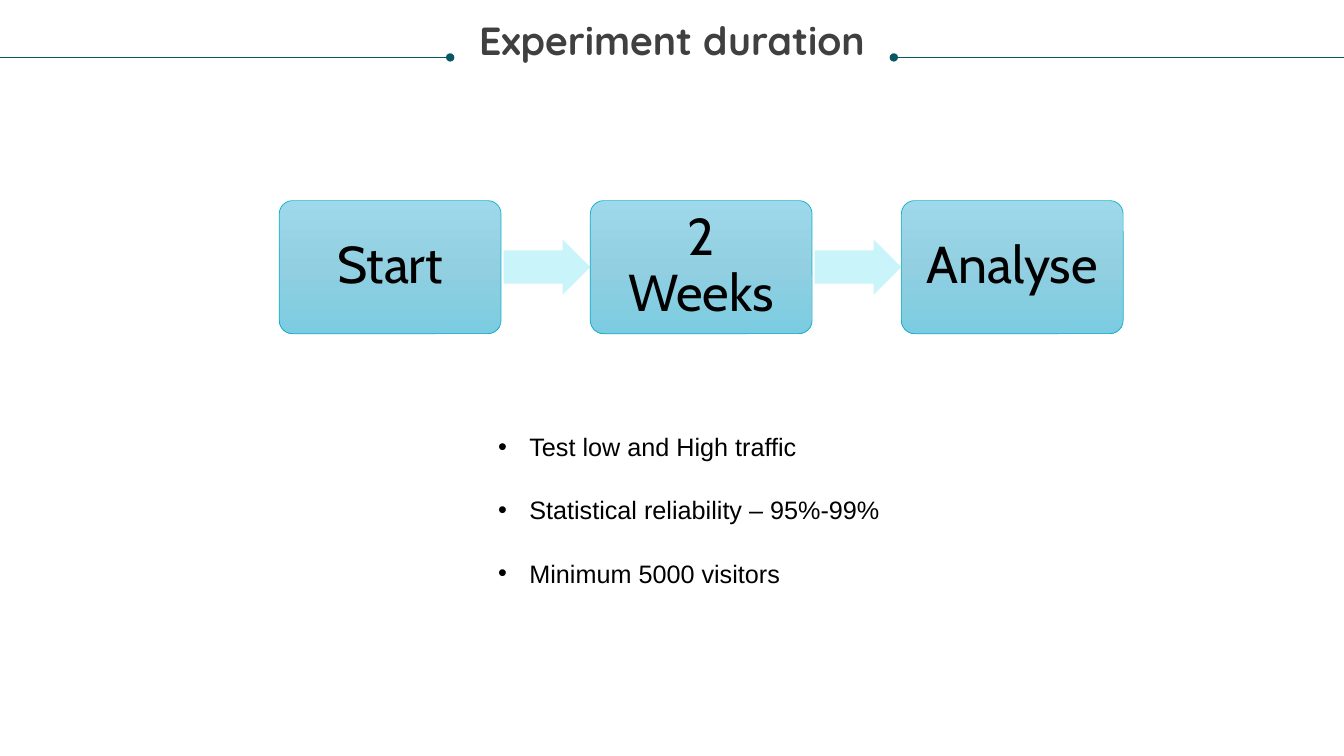
import copy

import pptx
import pptx.dml.color
import pptx.enum.shapes
import pptx.enum.text
import pptx.oxml
import pptx.oxml.ns
import pptx.util
from pptx.util import Inches

SHAPE = pptx.enum.shapes.MSO_SHAPE
ALIGN = pptx.enum.text.PP_ALIGN
ANCHOR = pptx.enum.text.MSO_ANCHOR
STEPS = ["Start", "2 Weeks", "Analyse"]
POINTS = ["Test low and High traffic", "Statistical reliability – 95%-99%", "Minimum 5000 visitors"]
GRADIENT = [(0, "9ED9EB"), (0.5, "91CFE1"), (1, "7CCCE1")]


def rgb(value):
    """Turn a hex string into a colour."""
    return pptx.dml.color.RGBColor.from_string(value)


def apply(obj, formats):
    """Set each attribute of obj from a dict of format values."""
    for name, value in formats.items():
        setattr(obj, name, value)


def place(sp, box):
    """Move a shape to a box given in inches."""
    apply(sp, dict(zip(("left", "top", "width", "height"), map(Inches, box))))


def fill_text(tf, lines, inset, anchor, para, font, color):
    """Write one formatted paragraph per line."""
    margins = dict(zip(("margin_left", "margin_top", "margin_right", "margin_bottom"), map(Inches, inset)))
    apply(tf, {"word_wrap": True, "auto_size": pptx.enum.text.MSO_AUTO_SIZE.NONE,
               "vertical_anchor": anchor, **margins})
    for i, line in enumerate(lines):
        p = tf.paragraphs[0] if i == 0 else tf.add_paragraph()
        apply(p, para)
        r = p.add_run()
        r.text = line
        apply(r.font, font)
        r.font.color.rgb = rgb(color)


def add_rule(s, start, end, y):
    """Draw a thin rule with a dot at its end point."""
    line = s.shapes.add_connector(pptx.enum.shapes.MSO_CONNECTOR.STRAIGHT,
                                  Inches(start), Inches(y), Inches(end), Inches(y))
    line.line.color.rgb = rgb("085764")
    line.line.width = pptx.util.Pt(0.5)
    ns = pptx.oxml.ns.nsdecls("a")
    line.line._get_or_add_ln().append(pptx.oxml.parse_xml(f'<a:tailEnd {ns} type="oval"/>'))
    line._element.spPr.append(pptx.oxml.parse_xml(f"<a:effectLst {ns}/>"))


def add_header(s, box):
    """Place the title between two dotted rules."""
    left, top, width, height = box
    middle, y = left + width / 2, top + 0.36
    for edge, side in ((0, -1), (13.33, 1)):
        add_rule(s, edge, middle + side * 2.2, y)
    place(s.shapes.title, box)
    fill_text(s.shapes.title.text_frame, ["Experiment duration"], (0, 0, 0, 0), ANCHOR.TOP,
              {"alignment": ALIGN.CENTER, "line_spacing": 0.9},
              {"name": "Quicksand", "size": pptx.util.Pt(28), "bold": True}, "404040")


def add_step(s, box, label):
    """Add one rounded step with a gradient fill."""
    sp = s.shapes.add_shape(SHAPE.ROUNDED_RECTANGLE, *map(Inches, box))
    sp.adjustments[0] = 0.1
    sp.shadow.inherit = False
    sp.fill.gradient()
    sp.fill.gradient_angle = 270
    stops = sp._element.spPr.find(".//" + pptx.oxml.ns.qn("a:gsLst"))
    stops.append(copy.deepcopy(stops[-1]))
    for stop, (position, color) in zip(sp.fill.gradient_stops, GRADIENT):
        stop.position = position
        stop.color.rgb = rgb(color)
    sp.line.color.rgb = rgb("11AEC7")
    sp.line.width = pptx.util.Pt(0.5)
    fill_text(sp.text_frame, [label], [0.15] * 4, ANCHOR.MIDDLE,
              {"alignment": ALIGN.CENTER, "line_spacing": 0.9},
              {"name": "Cabin", "size": pptx.util.Pt(37)}, "000000")


def add_arrow(s, box):
    """Add one pale arrow between steps."""
    sp = s.shapes.add_shape(SHAPE.RIGHT_ARROW, *map(Inches, box))
    sp.adjustments[0] = 0.6
    sp.adjustments[1] = 0.5
    sp.shadow.inherit = False
    sp.fill.solid()
    sp.fill.fore_color.rgb = rgb("C9F4FA")
    sp.line.fill.background()


def add_process(s, box):
    """Lay out the steps evenly across the box, joined by arrows."""
    left, top, width, height = box
    step_w, arrow_w, arrow_h = 2.2, 0.86, 0.55
    pitch = (width - step_w) / (len(STEPS) - 1)
    for i, label in enumerate(STEPS):
        x = left + i * pitch
        add_step(s, (x, top, step_w, height), label)
        if i < len(STEPS) - 1:
            add_arrow(s, (x + pitch - arrow_w, top + (height - arrow_h) / 2, arrow_w, arrow_h))


def add_points(s, box):
    """Place the bulleted list in the body placeholder."""
    sp = s.placeholders[1]
    place(sp, box)
    fill_text(sp.text_frame, POINTS, (0.1, 0.05, 0.1, 0.05), ANCHOR.TOP,
              {"alignment": ALIGN.LEFT, "line_spacing": 2.0,
               "space_before": pptx.util.Pt(2), "space_after": pptx.util.Pt(0)},
              {"name": "Arial", "size": pptx.util.Pt(18)}, "000000")
    ns = pptx.oxml.ns.nsdecls("a")
    for p in sp.text_frame.paragraphs:
        pPr = p._p.get_or_add_pPr()
        pPr.set("marL", str(Inches(0.31)))
        pPr.set("indent", str(Inches(-0.31)))
        pPr.append(pptx.oxml.parse_xml(f'<a:buFont {ns} typeface="Arial"/>'))
        pPr.append(pptx.oxml.parse_xml(f'<a:buChar {ns} char="•"/>'))


def main():
    """Build and save the slide."""
    prs = pptx.Presentation()
    prs.slide_width, prs.slide_height = Inches(13.33), Inches(7.5)
    s = prs.slides.add_slide(prs.slide_layouts[1])
    add_header(s, (0.25, 0.21, 12.83, 0.85))
    add_process(s, (2.77, 1.99, 8.37, 1.32))
    add_points(s, (4.84, 3.93, 5.04, 1.92))
    prs.save("out.pptx")


if __name__ == "__main__":
    main()
